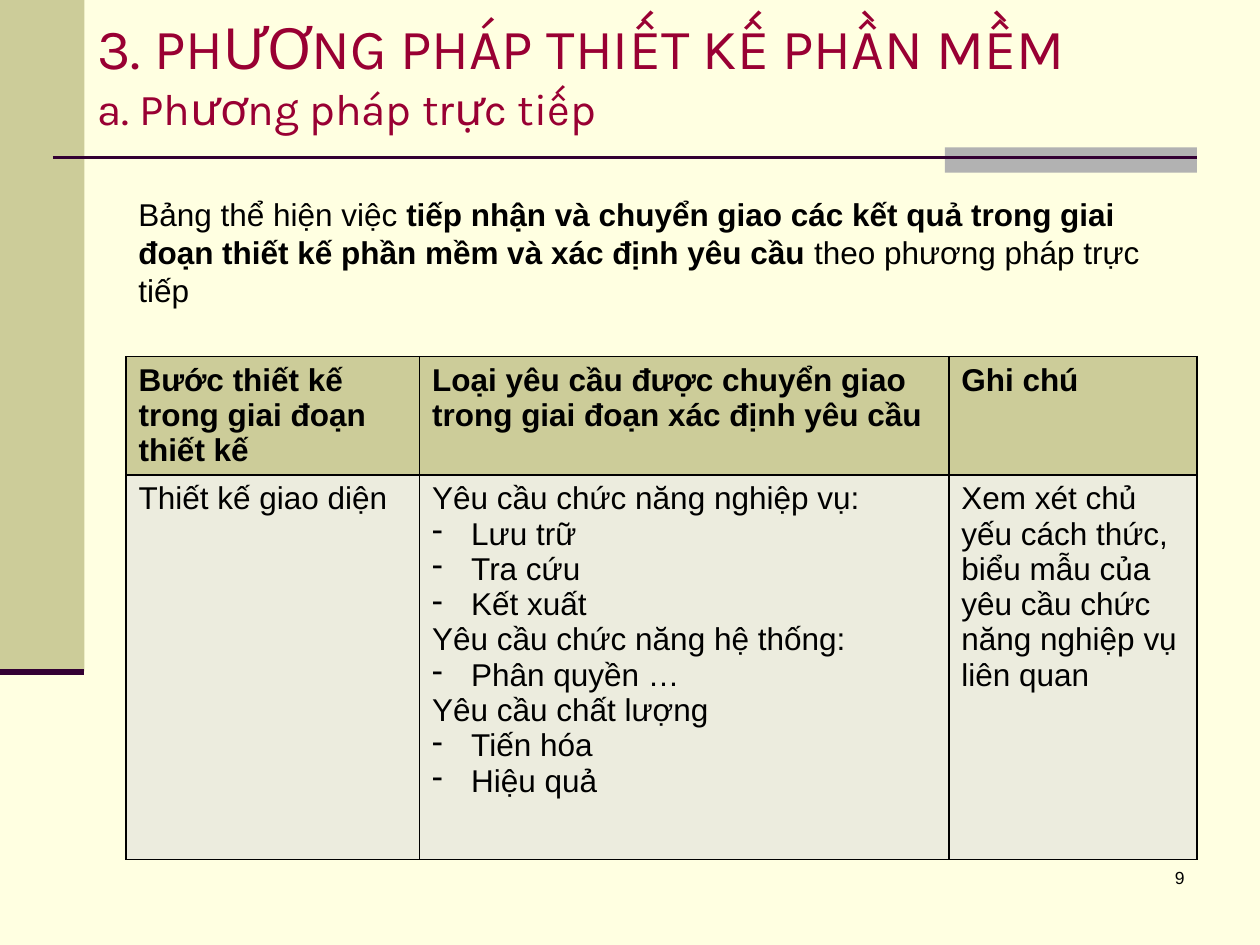
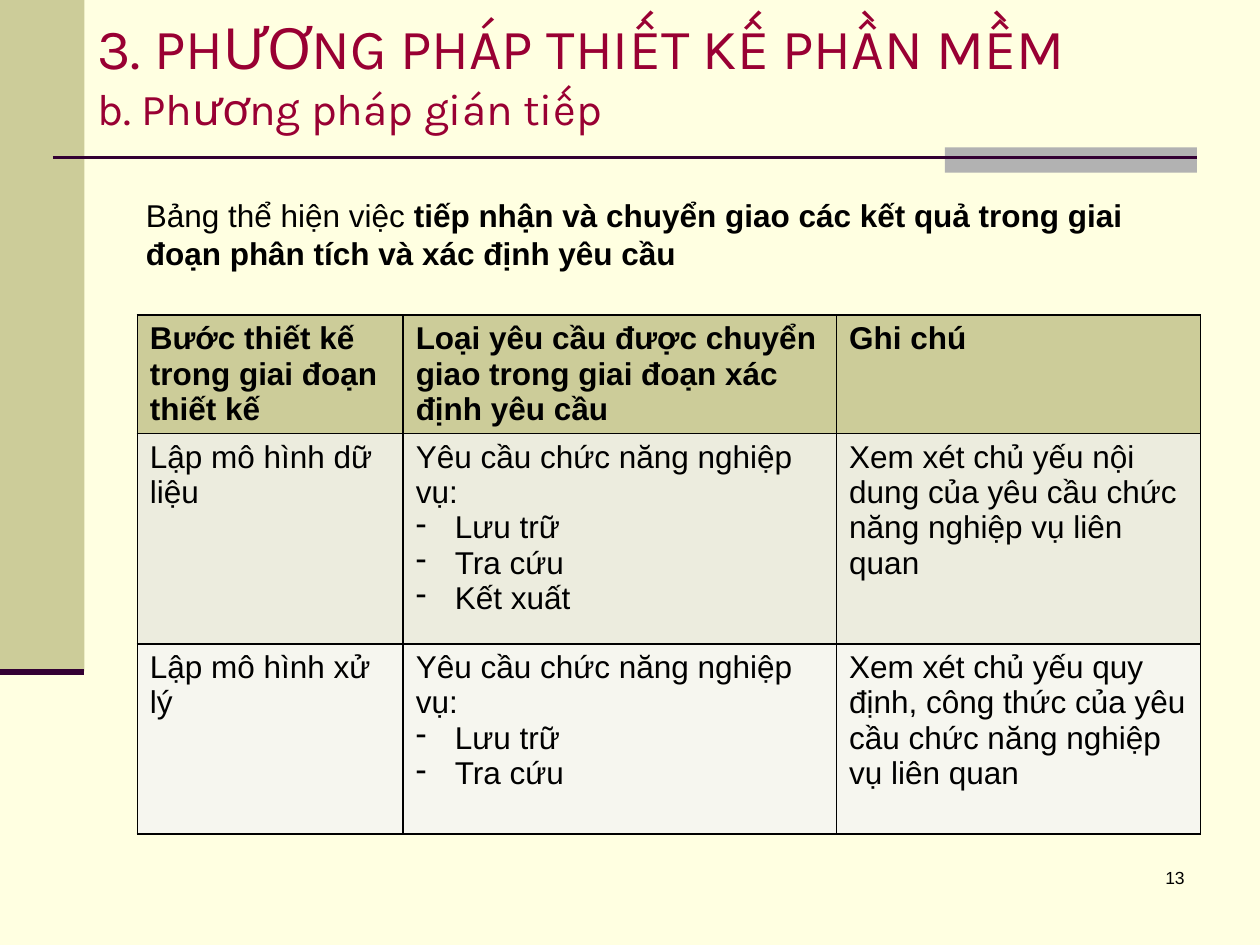
import dataclasses

import lxml.etree
import pptx
import pptx.dml.color
import pptx.enum.shapes
import pptx.enum.text
import pptx.oxml
import pptx.oxml.ns
import pptx.util

Inches = pptx.util.Inches
Pt = pptx.util.Pt
RGBColor = pptx.dml.color.RGBColor
qn = pptx.oxml.ns.qn

# Shared colours and fonts
CREAM = RGBColor(0xFF, 0xFF, 0xE1)
OLIVE = RGBColor(0xCC, 0xCC, 0x99)
GREY = RGBColor(0xB2, 0xB2, 0xB2)
PLUM = RGBColor(0x33, 0x00, 0x33)
CRIMSON = RGBColor(0x99, 0x00, 0x33)
BLACK = RGBColor(0, 0, 0)
ROW_FILLS = (OLIVE, RGBColor(0xEC, 0xEC, 0xDE), RGBColor(0xF6, 0xF6, 0xEF))
TITLE_FONT = "Karla"
BODY_FONT = "Arial"

# Shared wording
TITLE = "3. PHƯƠNG PHÁP THIẾT KẾ PHẦN MỀM"
CAPTION_START = "Bảng thể hiện việc "
HEADER = (
    "Bước thiết kế trong giai đoạn thiết kế",
    "Loại yêu cầu được chuyển giao trong giai đoạn xác định yêu cầu",
    "Ghi chú",
)
BUSINESS = "Yêu cầu chức năng nghiệp vụ:"
BULLET = "- "
BULLET_INDENT = Inches(0.31)


@dataclasses.dataclass(frozen=True)
class Area:
    left: float
    top: float
    width: float
    height: float

    def lengths(self) -> tuple:
        return tuple(Inches(value) for value in dataclasses.astuple(self))


@dataclasses.dataclass(frozen=True)
class Rule:
    left: float
    right: float
    top: float
    weight: float


@dataclasses.dataclass(frozen=True)
class MethodPage:
    subtitle: str
    number: str
    caption_area: Area
    caption_bold: str
    caption_end: str
    table_left: float
    table_top: float
    columns: tuple
    row_heights: tuple
    rows: tuple  # one string a cell, one line a paragraph


TITLE_AREA = Area(0.67, 0, 8.83, 1.17)
NUMBER_AREA = Area(7.42, 6.83, 2.08, 0.5)
BANDS = ((Area(0, 0, 0.67, 5.33), OLIVE), (Area(7.5, 1.17, 2, 0.2), GREY))
RULES = (Rule(0.42, 9.5, 1.25, 1.5), Rule(0, 0.67, 5.33, 3.5))

PAGES = (
    MethodPage(
        subtitle="a. Phương pháp trực tiếp",
        number="9",
        caption_area=Area(1, 1.5, 8.5, 1.01),
        caption_bold="tiếp nhận và chuyển giao các kết quả trong giai đoạn "
        "thiết kế phần mềm và xác định yêu cầu ",
        caption_end="theo phương pháp trực tiếp",
        table_left=1,
        table_top=2.83,
        columns=(2.33, 4.2, 1.97),
        row_heights=(0.94, 3.05),
        rows=(
            HEADER,
            (
                "Thiết kế giao diện",
                f"{BUSINESS}\n- Lưu trữ\n- Tra cứu\n- Kết xuất\n"
                "Yêu cầu chức năng hệ thống:\n- Phân quyền …\n"
                "Yêu cầu chất lượng\n- Tiến hóa\n- Hiệu quả",
                "Xem xét chủ yếu cách thức, biểu mẫu của yêu cầu "
                "chức năng nghiệp vụ liên quan",
            ),
        ),
    ),
    MethodPage(
        subtitle="b. Phương pháp gián tiếp",
        number="13",
        caption_area=Area(1.06, 1.51, 8.42, 0.71),
        caption_bold="tiếp nhận và chuyển giao các kết quả trong giai đoạn "
        "phân tích và xác định yêu cầu",
        caption_end="",
        table_left=1.09,
        table_top=2.5,
        columns=(2.11, 3.44, 2.89),
        row_heights=(0.94, 1.67, 1.51),
        rows=(
            HEADER,
            (
                "Lập mô hình dữ liệu",
                f"{BUSINESS}\n- Lưu trữ\n- Tra cứu\n- Kết xuất",
                "Xem xét chủ yếu nội dung của yêu cầu chức năng "
                "nghiệp vụ liên quan",
            ),
            (
                "Lập mô hình xử lý",
                f"{BUSINESS}\n- Lưu trữ\n- Tra cứu",
                "Xem xét chủ yếu quy định, công thức của yêu cầu "
                "chức năng nghiệp vụ liên quan",
            ),
        ),
    ),
)


def set_font(font, size: float, name: str = BODY_FONT, color: RGBColor = BLACK) -> None:
    font.name = name
    font.size = Pt(size)
    font.color.rgb = color


def draw_frame(page) -> None:
    """Draw the side band, the accent bar and the rules."""
    for area, color in BANDS:
        band = page.shapes.add_shape(
            pptx.enum.shapes.MSO_SHAPE.RECTANGLE, *area.lengths()
        )
        band.shadow.inherit = False
        band.fill.solid()
        band.fill.fore_color.rgb = color
        band.line.fill.background()
    for rule in RULES:
        top = Inches(rule.top)
        line = page.shapes.add_connector(
            pptx.enum.shapes.MSO_CONNECTOR.STRAIGHT,
            Inches(rule.left), top, Inches(rule.right), top,
        )
        line.line.color.rgb = PLUM
        line.line.width = Pt(rule.weight)
        lxml.etree.SubElement(line._element.spPr, qn("a:effectLst"))


def write_title(page, subtitle: str) -> None:
    title = page.shapes.title
    title.left, title.top, title.width, title.height = TITLE_AREA.lengths()
    frame = title.text_frame
    frame.auto_size = pptx.enum.text.MSO_AUTO_SIZE.NONE
    frame.vertical_anchor = pptx.enum.text.MSO_ANCHOR.MIDDLE
    para = frame.paragraphs[0]
    para.alignment = pptx.enum.text.PP_ALIGN.LEFT
    for text, size in ((TITLE, 32.4), (subtitle, 25.2)):
        if para.runs:
            para.add_line_break()
        span = para.add_run()
        span.text = text
        set_font(span.font, size, TITLE_FONT, CRIMSON)


def add_text_box(page, area: Area, size: float):
    """Add a wrapped text box and return its first paragraph."""
    box = page.shapes.add_textbox(*area.lengths())
    box.text_frame.word_wrap = True
    para = box.text_frame.paragraphs[0]
    set_font(para.font, size)
    return para


def write_caption(page, content: MethodPage) -> None:
    para = add_text_box(page, content.caption_area, 18)
    parts = (CAPTION_START, content.caption_bold, content.caption_end)
    for text in filter(None, parts):
        span = para.add_run()
        span.text = text
        span.font.bold = text == content.caption_bold


def write_number(page, number: str) -> None:
    para = add_text_box(page, NUMBER_AREA, 10)
    para.text = number
    para.alignment = pptx.enum.text.PP_ALIGN.RIGHT


def add_bullet(para) -> None:
    settings = para._p.get_or_add_pPr()
    settings.set("marL", str(BULLET_INDENT))
    settings.set("indent", str(-BULLET_INDENT))
    bullet = lxml.etree.Element(qn("a:buChar"), char="-")
    settings.insert_element_before(bullet, "a:tabLst", "a:defRPr", "a:extLst")


def add_borders(cell) -> None:
    settings = cell._tc.get_or_add_tcPr()
    for position, side in enumerate("LRTB"):
        border = pptx.oxml.parse_xml(
            f'<a:ln{side} {pptx.oxml.ns.nsdecls("a")} w="{Pt(1)}"><a:solidFill>'
            f'<a:srgbClr val="{BLACK}"/></a:solidFill></a:ln{side}>'
        )
        settings.insert(position, border)


def fill_cell(cell, text: str, color: RGBColor, bold: bool) -> None:
    cell.fill.solid()
    cell.fill.fore_color.rgb = color
    add_borders(cell)
    cell.text = text
    for para, line in zip(cell.text_frame.paragraphs, text.split("\n")):
        set_font(para.font, 18)
        para.font.bold = bold
        if line.startswith(BULLET):
            para.text = line.removeprefix(BULLET)
            add_bullet(para)


def draw_table(page, content: MethodPage) -> None:
    area = Area(
        content.table_left, content.table_top,
        sum(content.columns), sum(content.row_heights),
    )
    table = page.shapes.add_table(
        len(content.rows), len(content.columns), *area.lengths()
    ).table
    table.first_row = table.horz_banding = False
    for column, width in zip(table.columns, content.columns):
        column.width = Inches(width)
    for index, texts in enumerate(content.rows):
        table.rows[index].height = Inches(content.row_heights[index])
        for cell, text in zip(table.rows[index].cells, texts):
            fill_cell(cell, text, ROW_FILLS[index], bold=index == 0)


def main() -> None:
    deck = pptx.Presentation()
    deck.slide_width, deck.slide_height = Inches(10), Inches(7.5)
    background = deck.slide_master.background.fill
    background.solid()
    background.fore_color.rgb = CREAM
    title_only = deck.slide_layouts.get_by_name("Title Only")
    for content in PAGES:
        page = deck.slides.add_slide(title_only)
        draw_frame(page)
        write_title(page, content.subtitle)
        draw_table(page, content)
        write_caption(page, content)
        write_number(page, content.number)
    deck.save("out.pptx")


if __name__ == "__main__":
    main()
